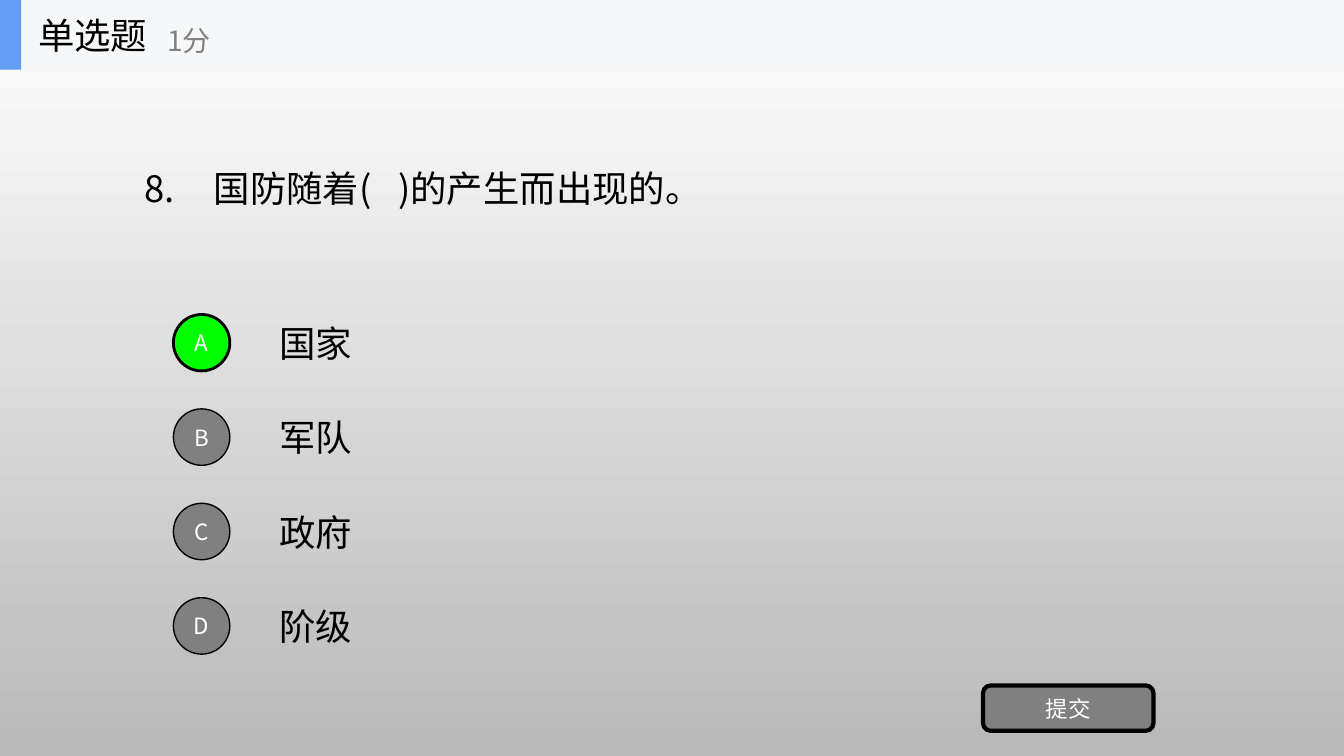
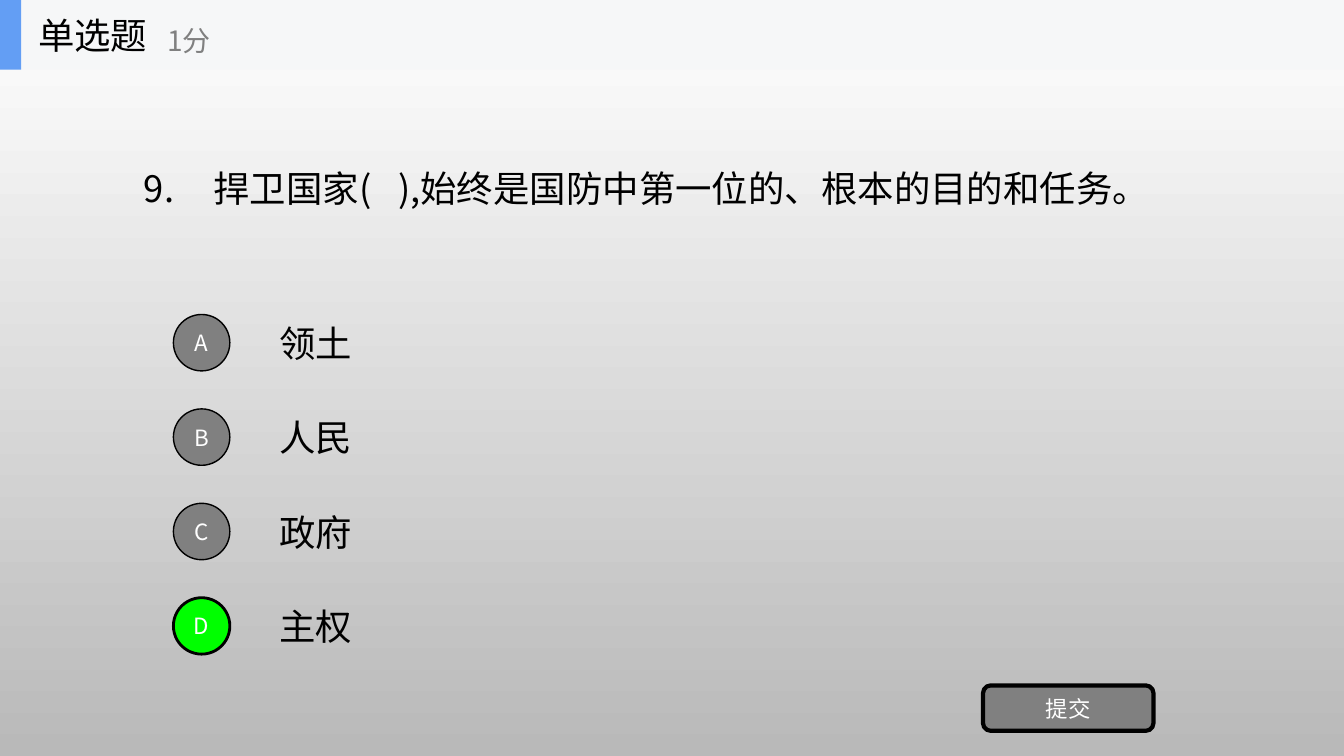
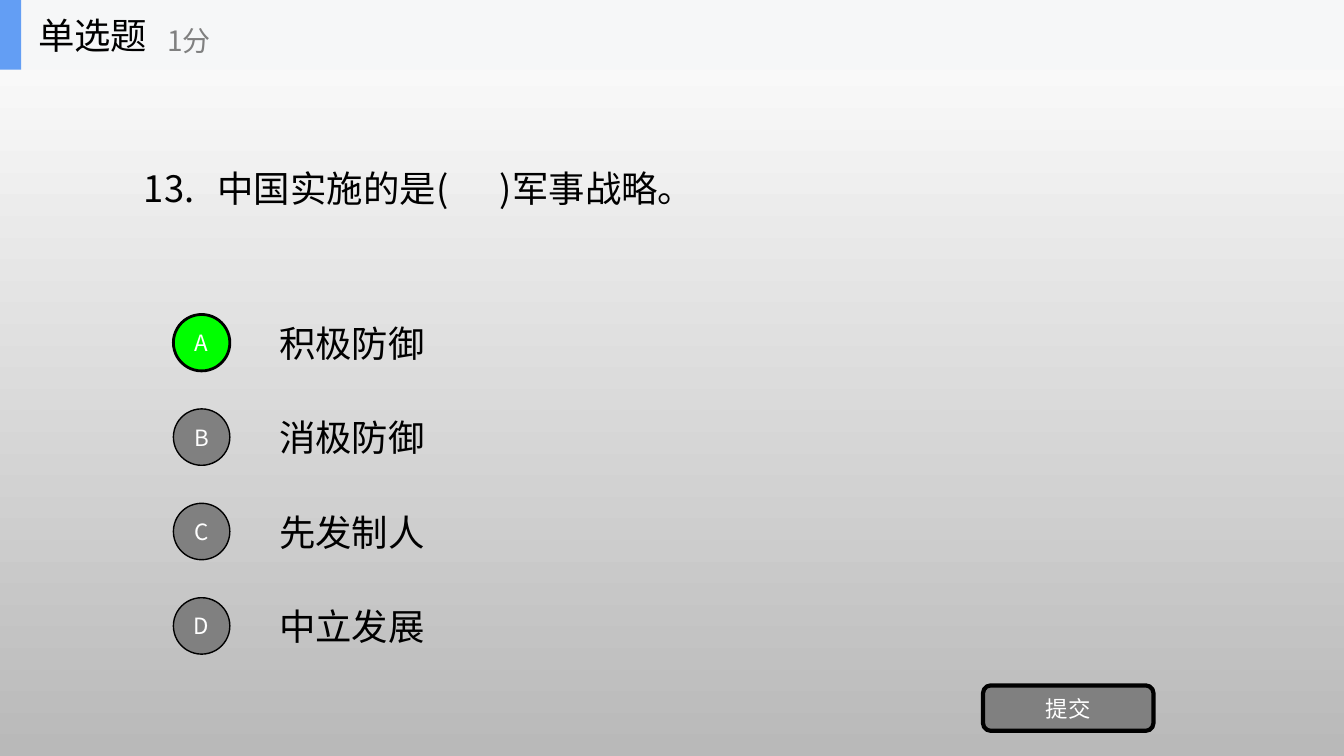
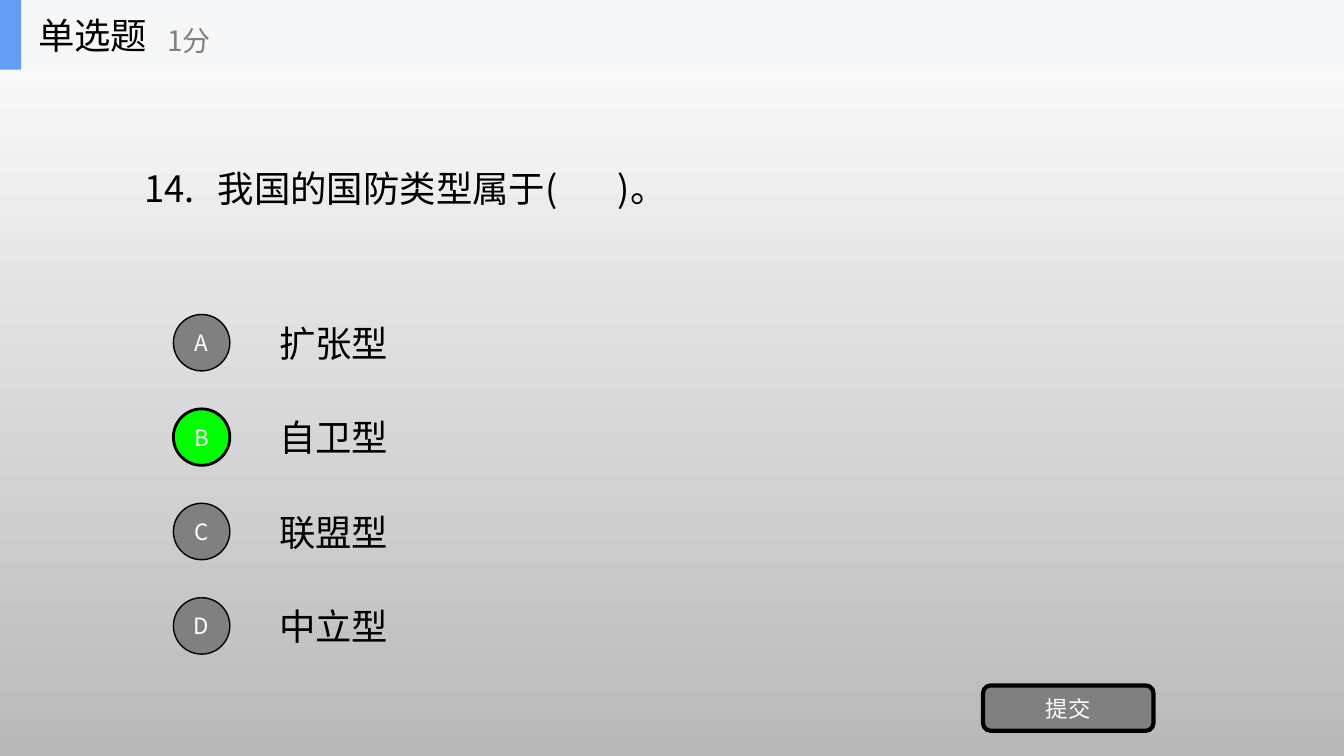
"""Build four single-choice quiz slides about national defence."""
from lxml.etree import SubElement
from pptx import Presentation
from pptx.dml.color import RGBColor
from pptx.enum.shapes import MSO_SHAPE
from pptx.enum.text import MSO_ANCHOR, MSO_AUTO_SIZE, PP_ALIGN
from pptx.oxml.ns import qn
from pptx.util import Inches, Pt

QUESTIONS = [
    {"text": "8.\t国防随着(\t)的产生而出现的。", "tabs": (0.69, 2.52), "width": 5.88,
     "options": ("国家", "军队", "政府", "阶级"), "answer": "A"},
    {"text": "9.\t捍卫国家(\t),始终是国防中第一位的、根本的目的和任务。",
     "tabs": (0.69, 2.52), "width": 10.3,
     "options": ("领土", "人民", "政府", "主权"), "answer": "D"},
    {"text": "13.\t中国实施的是(\t)军事战略。", "tabs": (0.73, 3.53), "width": 5.83,
     "options": ("积极防御", "消极防御", "先发制人", "中立发展"), "answer": "A"},
    {"text": "14.\t我国的国防类型属于(\t)。", "tabs": (0.73, 4.7), "width": 5.58,
     "options": ("扩张型", "自卫型", "联盟型", "中立型"), "answer": "B"},
]
HEADING, SCORE, SUBMIT = "单选题", "1分", "提交"

COLORS = {"top": "FFFFFF", "bottom": "B9B9B9", "band": "F6F7F8", "accent": "639EF4",
          "black": "000000", "gray": "808080", "white": "FFFFFF", "correct": "00FF00"}
FONT = "Noto Sans CJK SC"
BODY = {"size": 26, "color": "black"}
MUTED = {"size": 20, "color": "gray"}
BUTTON = {"size": 16, "color": "white", "align": PP_ALIGN.CENTER}
WRAPPED = {"word_wrap": True, "auto_size": MSO_AUTO_SIZE.SHAPE_TO_FIT_TEXT}
UNWRAPPED = {"word_wrap": False}

SLIDE_WIDTH, SLIDE_HEIGHT, BAND_HEIGHT = 13.33, 7.5, 0.69
CIRCLE_LEFT, CIRCLE_SIZE = 1.72, 0.56
FIRST_TOP, LAST_TOP = 3.12, 5.93
LINE_HEIGHT, CHARACTER_WIDTH, BOX_PADDING = 0.53, 0.36, 0.31


def color(name):
    return RGBColor.from_string(COLORS[name])


def write(shape, text, style, frame_format, tabs=()):
    frame = shape.text_frame
    for name, value in {"vertical_anchor": MSO_ANCHOR.MIDDLE, **frame_format}.items():
        setattr(frame, name, value)
    paragraph = frame.paragraphs[0]
    paragraph.alignment = style.get("align", PP_ALIGN.LEFT)
    if tabs:
        tab_list = SubElement(paragraph._p.get_or_add_pPr(), qn("a:tabLst"))
        for position in tabs:
            SubElement(tab_list, qn("a:tab"), pos=str(Inches(position)), algn="l")
    run = paragraph.add_run()
    run.text = text
    for name, value in {"name": FONT, "size": Pt(style["size"])}.items():
        setattr(run.font, name, value)
    run.font.color.rgb = color(style["color"])
    SubElement(run._r.get_or_add_rPr(), qn("a:ea"), typeface=FONT)


def add_text(shapes, box, text, style, frame_format, tabs=()):
    write(shapes.add_textbox(*map(Inches, box)), text, style, frame_format, tabs)


def add_box(shapes, kind, box, fill, line_width=0, text=""):
    shape = shapes.add_shape(kind, *map(Inches, box))
    shape.shadow.inherit = False
    shape.fill.solid()
    shape.fill.fore_color.rgb = color(fill)
    if line_width:
        shape.line.color.rgb = color("black")
        shape.line.width = Pt(line_width)
    else:
        shape.line.fill.background()
    if text:
        write(shape, text, BUTTON, {"word_wrap": True})


def add_header(slide):
    shapes = slide.shapes.add_group_shape().shapes
    for width, fill in ((SLIDE_WIDTH, "band"), (0.21, "accent")):
        add_box(shapes, MSO_SHAPE.RECTANGLE, (0, 0, width, BAND_HEIGHT), fill)
    add_text(shapes, (0.28, 0, 2.08, BAND_HEIGHT), HEADING, BODY, UNWRAPPED)
    add_text(shapes, (1.56, 0.12, 2.5, 0.56), SCORE, MUTED, UNWRAPPED)


def add_options(slide, options, answer):
    pitch = (LAST_TOP - FIRST_TOP) / (len(options) - 1)
    for index, (letter, option) in enumerate(zip("ABCD", options)):
        top = FIRST_TOP + index * pitch
        width = BOX_PADDING + CHARACTER_WIDTH * len(option)
        add_text(slide.shapes, (2.67, top + (CIRCLE_SIZE - LINE_HEIGHT) / 2, width, LINE_HEIGHT),
                 option, BODY, WRAPPED)
        fill, line_width = ("correct", 2) if letter == answer else ("gray", 1)
        add_box(slide.shapes, MSO_SHAPE.OVAL, (CIRCLE_LEFT, top, CIRCLE_SIZE, CIRCLE_SIZE),
                fill, line_width, letter)


def add_question(presentation, question):
    slide = presentation.slides.add_slide(presentation.slide_layouts[6])
    add_text(slide.shapes, (1.33, 1.6, question["width"], LINE_HEIGHT),
             question["text"], BODY, WRAPPED, question["tabs"])
    add_options(slide, question["options"], question["answer"])
    add_box(slide.shapes, MSO_SHAPE.ROUNDED_RECTANGLE, (9.75, 6.8, 1.69, 0.45), "gray", 3, SUBMIT)
    add_header(slide)


def main():
    presentation = Presentation()
    presentation.slide_width = Inches(SLIDE_WIDTH)
    presentation.slide_height = Inches(SLIDE_HEIGHT)
    background = presentation.slide_master.background.fill
    background.gradient()
    background.gradient_angle = 270
    for stop, name in zip(background.gradient_stops, ("top", "bottom")):
        stop.color.rgb = color(name)
    for question in QUESTIONS:
        add_question(presentation, question)
    presentation.save("out.pptx")


if __name__ == "__main__":
    main()
